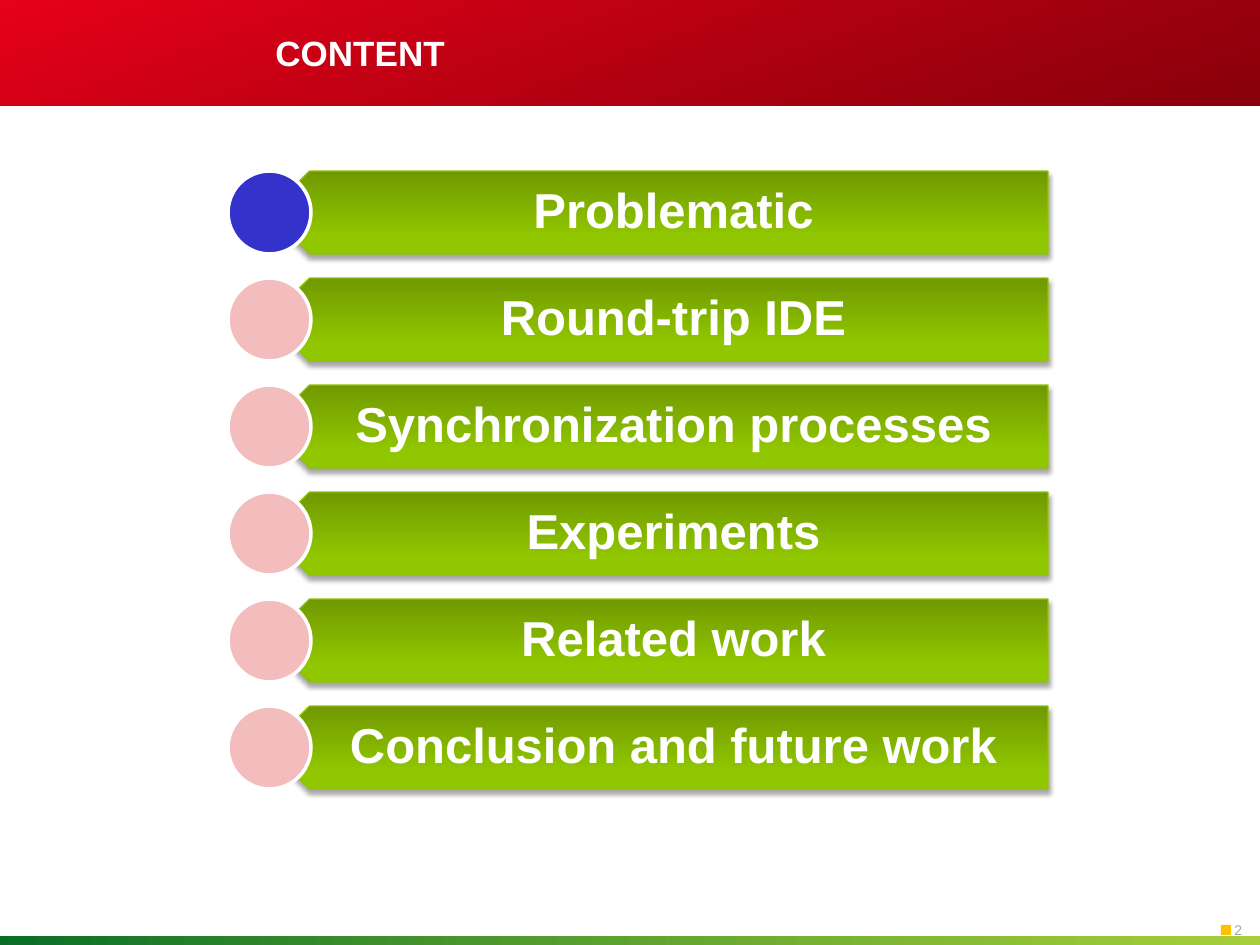
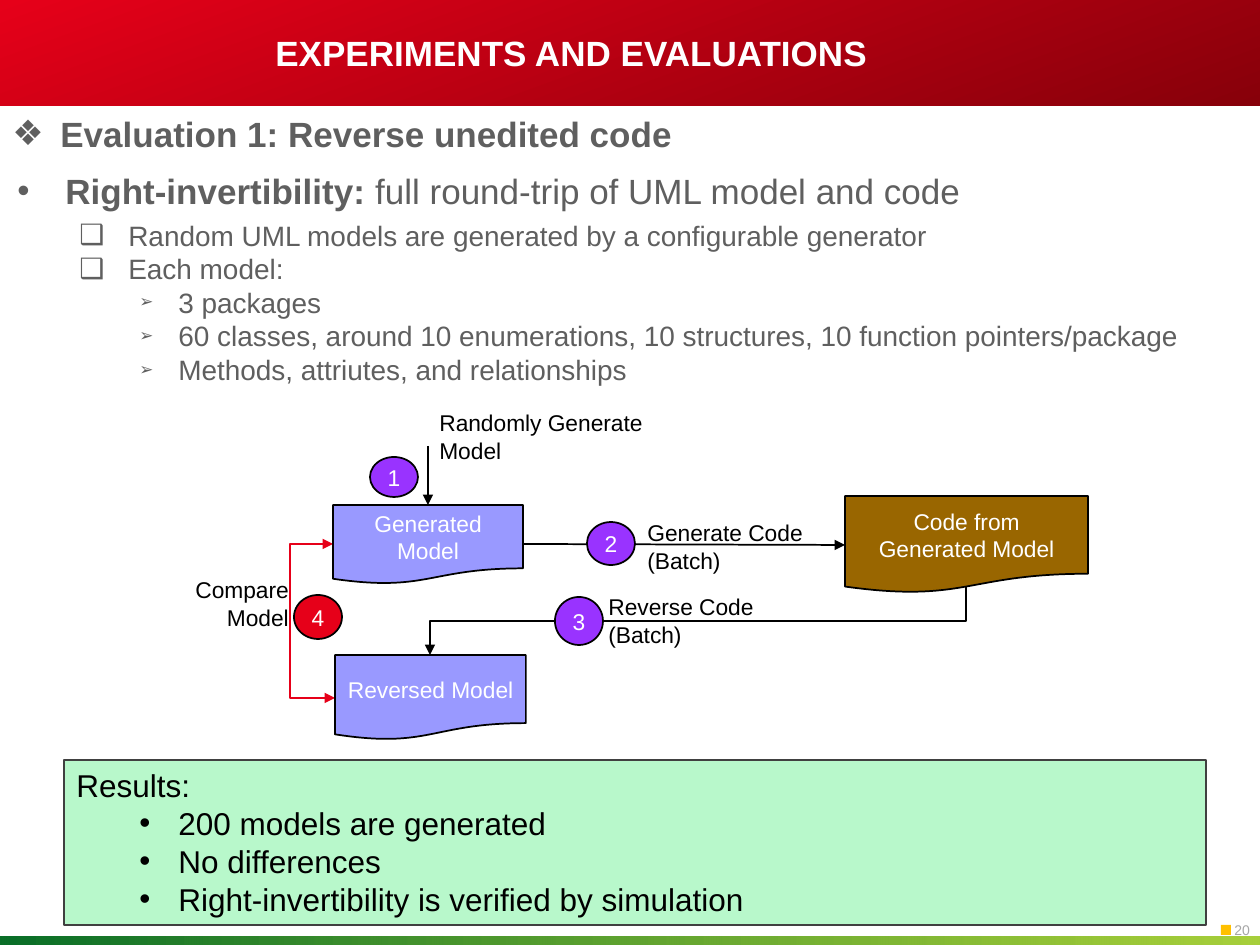
from lxml.etree import SubElement
from pptx import Presentation
from pptx.dml.color import RGBColor
from pptx.enum.shapes import MSO_CONNECTOR, MSO_SHAPE
from pptx.enum.text import MSO_ANCHOR, PP_ALIGN
from pptx.oxml.ns import qn
from pptx.util import Emu, Pt

PX_PER_INCH = 126
WIDTH, HEIGHT = 1260, 945
FONT = "Arial"
COLORS = {
    "white": "FFFFFF", "black": "000000", "text": "5F5F5F", "number": "A6A6A6",
    "red": "E60019", "dark red": "87000A", "dark green": "0A6E28", "green": "91C30A",
    "marker": "FFC000", "bar top": "709900", "bar middle": "91C700",
    "bar bottom": "92C800", "bar line": "90C305", "current": "3333CC",
    "pending": "F3BDBD", "model": "9999FF", "code": "996600", "step": "9933FF",
    "results": "B8F8CB", "results line": "404040",
}

# Gradients: angle in degrees, then (position %, colour, opacity %)
HEADER_GRADIENT = 70, [(0, "red", 100), (100, "dark red", 100)]
FOOTER_GRADIENT = 0, [(0, "dark green", 100), (100, "green", 80)]
BAR_GRADIENT = 270, [(0, "bar top", 100), (80, "bar middle", 100), (100, "bar bottom", 100)]

# Bullets: character, left margin px, hanging px, size %
DIAMOND = "❖", 48, 48, 100
DOT = "•", 48, 48, 100
SQUARE = "❑", 111, 49, 100
ARROW = "➢", 161, 39, 60
RESULT_DOT = "•", 102, 39, 100

CHAPTERS = ["Problematic", "Round-trip IDE", "Synchronization processes",
            "Experiments", "Related work", "Conclusion and future work"]
CURRENT_CHAPTER = "Problematic"
BAR_TOP, BAR_HEIGHT, BAR_PITCH = 171, 83, 107

EVALUATION = "Evaluation 1: Reverse unedited code"
PROPERTY = "Right-invertibility: ", "full round-trip of UML model and code"
DETAILS = [
    (SQUARE, "Random UML models are generated by a configurable generator"),
    (SQUARE, "Each model:"),
    (ARROW, "3 packages"),
    (ARROW, "60 classes, around 10 enumerations, 10 structures, 10 function pointers/package"),
    (ARROW, "Methods, attriutes, and relationships"),
]
DOCUMENTS = [
    ("Code from Generated Model", "code", (845, 496, 243, 97)),
    ("Generated Model", "model", (333, 505, 190, 79)),
    ("Reversed Model", "model", (335, 655, 191, 85)),
]
STEPS = [
    ("1", "step", (370, 457, 48, 40)),
    ("2", "step", (587, 522, 48, 43)),
    ("3", "step", (555, 597, 48, 48)),
    ("4", "red", (294, 595, 48, 44)),
]
STEP_LABELS = [
    ("Randomly Generate Model", PP_ALIGN.LEFT, (427, 403, 289, 69)),
    ("Generate Code (Batch)", PP_ALIGN.LEFT, (635, 513, 243, 69)),
    ("Reverse Code (Batch)", PP_ALIGN.LEFT, (596, 587, 243, 69)),
    ("Compare Model", PP_ALIGN.RIGHT, (121, 570, 180, 69)),
]
RESULTS = ["200 models are generated", "No differences",
           "Right-invertibility is verified by simulation"]


def px(value):
    return Emu(round(value * 914400 / PX_PER_INCH))


def rgb(color):
    return RGBColor.from_string(COLORS[color])


def add_block(slide, kind, box, fill=None, line=None, line_width=1):
    """Add a preset shape without shadow; fill is a colour name or a gradient."""
    block = slide.shapes.add_shape(kind, *map(px, box))
    block.shadow.inherit = False
    if isinstance(fill, tuple):
        fill_gradient(block, *fill)
    else:
        block.fill.solid()
        block.fill.fore_color.rgb = rgb(fill)
    if line:
        block.line.color.rgb = rgb(line)
        block.line.width = Pt(line_width)
    else:
        block.line.fill.background()
    return block


def add_color(parent, color, opacity):
    node = SubElement(parent, qn("a:srgbClr"), val=COLORS[color])
    if opacity < 100:
        SubElement(node, qn("a:alpha"), val=str(opacity * 1000))


def fill_gradient(block, angle, stops):
    block.fill.gradient()
    gradient = block._element.spPr.find(qn("a:gradFill"))
    gradient.clear()
    gradient.set("rotWithShape", "1")
    stop_list = SubElement(gradient, qn("a:gsLst"))
    for position, color, opacity in stops:
        stop = SubElement(stop_list, qn("a:gs"), pos=str(position * 1000))
        add_color(stop, color, opacity)
    SubElement(gradient, qn("a:lin"), ang=str(angle * 60000), scaled="0")


def drop_shadow(block):
    effects = block._element.spPr.find(qn("a:effectLst"))
    shadow = SubElement(effects, qn("a:outerShdw"), blurRad=str(Pt(3.1)),
                        dist=str(Pt(1.8)), dir=str(90 * 60000), rotWithShape="0")
    add_color(shadow, "black", 35)


def add_box(slide, box, anchor=MSO_ANCHOR.TOP, wrap=True):
    frame = slide.shapes.add_textbox(*map(px, box)).text_frame
    frame.word_wrap = wrap
    frame.vertical_anchor = anchor
    return frame


def write(paragraph, text, size, color, bold=False, align=PP_ALIGN.LEFT, bullet=None):
    """Write text, a string or a (bold lead, plain rest) pair, into a paragraph."""
    paragraph.alignment = align
    if bullet:
        add_bullet(paragraph, *bullet)
    font = paragraph.font
    font.name, font.size, font.color.rgb = FONT, Pt(size), rgb(color)
    if isinstance(text, tuple):
        for part, is_bold in zip(text, (True, False)):
            run = paragraph.add_run()
            run.text, run.font.bold = part, is_bold
    else:
        font.bold = bold
        paragraph.add_run().text = text


def add_bullet(paragraph, character, margin, hanging, scale):
    properties = paragraph._p.get_or_add_pPr()
    properties.set("marL", str(px(margin)))
    properties.set("indent", str(-px(hanging)))
    SubElement(properties, qn("a:buSzPct"), val=str(scale * 1000))
    SubElement(properties, qn("a:buFont"), typeface=FONT)
    SubElement(properties, qn("a:buChar"), char=character)


def add_arrow(slide, start, end, color="black", kind=MSO_CONNECTOR.STRAIGHT,
              both_ends=False, arrowhead=True):
    arrow = slide.shapes.add_connector(kind, *map(px, start + end))
    arrow.line.color.rgb = rgb(color)
    arrow.line.width = Pt(1)
    properties = arrow._element.spPr
    line = properties.find(qn("a:ln"))
    if both_ends:
        SubElement(line, qn("a:headEnd"), type="triangle")
    SubElement(line, qn("a:tailEnd"), type="triangle")
    SubElement(properties, qn("a:effectLst"))
    return arrow


def add_reverse_arrow(slide, start, end):
    """Elbow that leaves downwards, runs left and enters downwards."""
    (x1, y1), (x2, y2) = start, end
    middle_x, middle_y = (x1 + x2) / 2, (y1 + y2) / 2
    half_run, half_drop = (x1 - x2) / 2, (y2 - y1) / 2
    arrow = add_arrow(slide, (middle_x - half_drop, middle_y - half_run),
                      (middle_x + half_drop, middle_y + half_run), kind=MSO_CONNECTOR.ELBOW)
    arrow._element.spPr.find(qn("a:xfrm")).set("rot", str(90 * 60000))


def add_compare_arrow(slide, start, end, bend_x):
    arrow = add_arrow(slide, start, end, "red", MSO_CONNECTOR.ELBOW, both_ends=True)
    bend = round((bend_x - start[0]) / (end[0] - start[0]) * 100000)
    geometry = arrow._element.spPr.find(qn("a:prstGeom"))
    SubElement(geometry.find(qn("a:avLst")), qn("a:gd"), name="adj1", fmla=f"val {bend}")


def add_slide(deck, title, number):
    slide = deck.slides.add_slide(deck.slide_layouts[6])
    add_block(slide, MSO_SHAPE.RECTANGLE, (0, 0, WIDTH, 106), HEADER_GRADIENT)
    add_block(slide, MSO_SHAPE.RECTANGLE, (0, 937, WIDTH, 8), FOOTER_GRADIENT)
    number_box = add_box(slide, (1222, 915, 50, 30), wrap=False)
    write(number_box.paragraphs[0], number, 8, "number")
    add_block(slide, MSO_SHAPE.RECTANGLE, (1221, 925, 10, 10), "marker")
    title_box = add_box(slide, (263, 13, 794, 79), MSO_ANCHOR.MIDDLE)
    write(title_box.paragraphs[0], title, 20, "white", bold=True)
    return slide


def build_content(deck):
    slide = add_slide(deck, "CONTENT", "2")
    for index, chapter in enumerate(CHAPTERS):
        top = BAR_TOP + index * BAR_PITCH
        bar = add_block(slide, MSO_SHAPE.PENTAGON, (268, top, 780, BAR_HEIGHT),
                        BAR_GRADIENT, "bar line", 0.75)
        bar.rotation = 180
        drop_shadow(bar)
        caption = add_box(slide, (290, top, 758, BAR_HEIGHT), MSO_ANCHOR.MIDDLE)
        caption.margin_left, caption.margin_right = px(37), px(28)
        caption.paragraphs[0].line_spacing = 0.9
        write(caption.paragraphs[0], chapter, 28, "white", True, PP_ALIGN.CENTER)
        state = "current" if chapter == CURRENT_CHAPTER else "pending"
        add_block(slide, MSO_SHAPE.OVAL, (228, top, BAR_HEIGHT, BAR_HEIGHT), state, "white", 2)


def add_diagram(slide):
    add_arrow(slide, (523, 544), (845, 545))
    add_arrow(slide, (428, 446), (428, 505))
    add_reverse_arrow(slide, (966, 587), (430, 655))
    add_compare_arrow(slide, (333, 544), (335, 698), bend_x=290)
    for kind, nodes in ((MSO_SHAPE.FLOWCHART_DOCUMENT, DOCUMENTS), (MSO_SHAPE.OVAL, STEPS)):
        for text, color, box in nodes:
            node = add_block(slide, kind, box, color, "black")
            node.text_frame.word_wrap = kind != MSO_SHAPE.OVAL
            node.text_frame.vertical_anchor = MSO_ANCHOR.MIDDLE
            write(node.text_frame.paragraphs[0], text, 13, "white", align=PP_ALIGN.CENTER)
    for text, align, box in STEP_LABELS:
        write(add_box(slide, box).paragraphs[0], text, 13, "black", align=align)


def build_experiments(deck):
    slide = add_slide(deck, "EXPERIMENTS AND EVALUATIONS", "20")
    heading = add_box(slide, (0, 106, 1210, 49))
    write(heading.paragraphs[0], EVALUATION, 20, "text", bold=True, bullet=DIAMOND)

    body = add_box(slide, (5, 163, 1250, 240))
    body.paragraphs[0].space_after = Pt(4)
    write(body.paragraphs[0], PROPERTY, 20, "text", bullet=DOT)
    for bullet, detail in DETAILS:
        write(body.add_paragraph(), detail, 16, "text", bullet=bullet)

    add_diagram(slide)

    results = add_block(slide, MSO_SHAPE.RECTANGLE, (64, 760, 1142, 165),
                        "results", "results line", 0.75).text_frame
    results.word_wrap = True
    results.vertical_anchor = MSO_ANCHOR.TOP
    write(results.paragraphs[0], "Results:", 18, "black")
    for result in RESULTS:
        write(results.add_paragraph(), result, 18, "black", bullet=RESULT_DOT)


def main():
    deck = Presentation()
    deck.slide_width, deck.slide_height = px(WIDTH), px(HEIGHT)
    build_content(deck)
    build_experiments(deck)
    deck.save("out.pptx")


if __name__ == "__main__":
    main()
